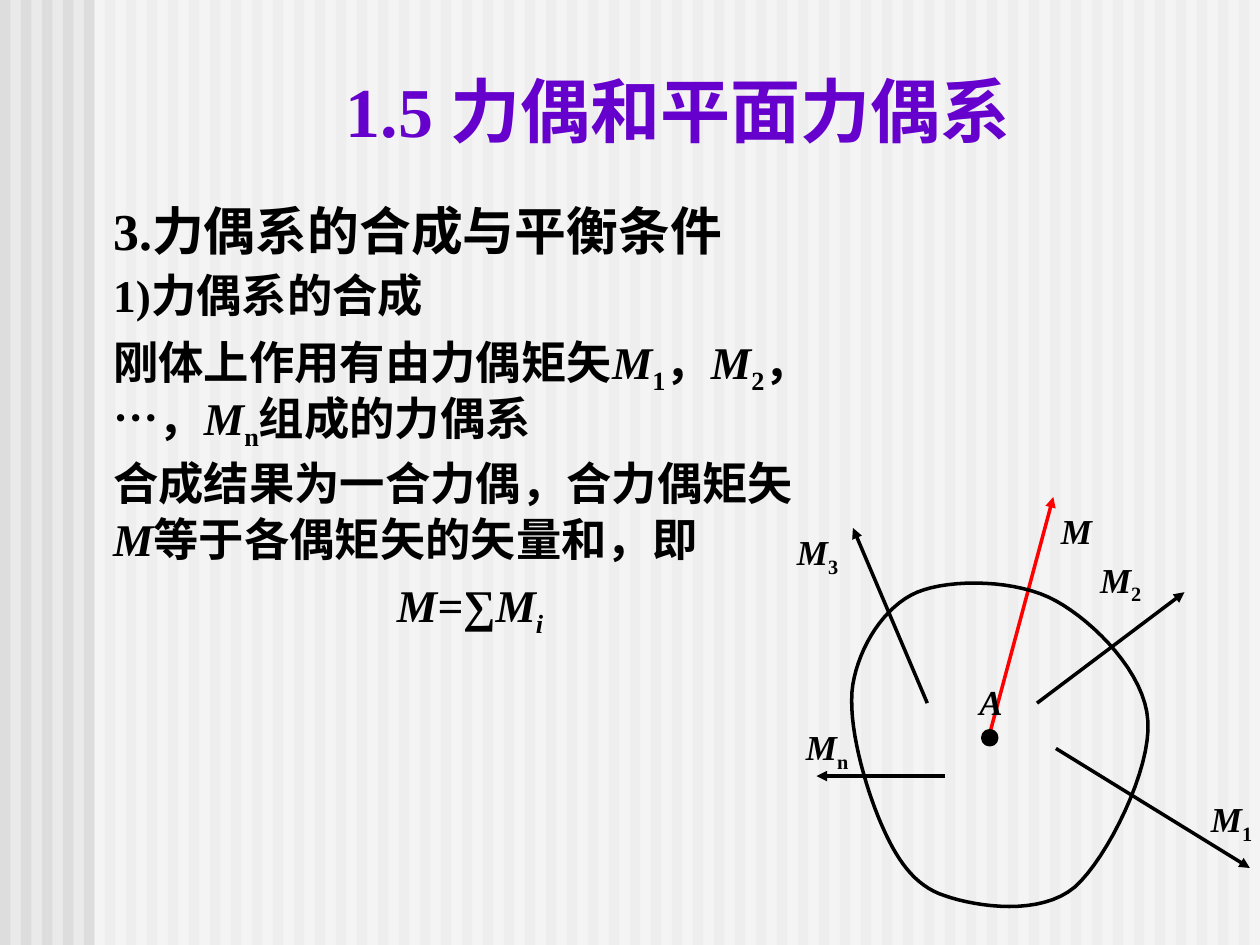
from lxml import etree
from pptx import Presentation
from pptx.dml.color import RGBColor
from pptx.enum import shapes, text
from pptx.oxml import ns
from pptx.util import Pt

COLORS = {"background": "EAEAEA", "stripe": "DDDDDD", "panel": "FFFFFF",
          "title": "6600CC", "ink": "000000", "resultant": "FF0000"}
FONT = "Times New Roman"
ITALIC, SUB, ITALIC_SUB = "i", "s", "is"
OUTLINE_START = (36.4, 107)
OUTLINE_CURVES = [
    ((40, 85.4), (54.4, 62.3), (73.2, 54.4)),
    ((92.6, 46.5), (130.8, 47.2), (152.4, 59.4)),
    ((174.7, 71.7), (203.5, 101.2), (204.9, 127.8)),
    ((207.1, 155.2), (181.9, 206.3), (163.2, 222.9)),
    ((143.7, 239.4), (107.7, 234.4), (89, 227.9)),
    ((71, 222.2), (60.9, 206.3), (52.3, 186.2)),
    ((43.6, 166), (32.8, 129.3), OUTLINE_START),
]
MOMENTS = [
    ("1", (152.4, 143.7), (263.2, 212), (236.6, 175.4), "ink"),
    ("2", (141.6, 117.8), (225.8, 54.4), (173.2, 38.6), "ink"),
    ("3", (78.9, 117.8), (36.4, 17.7), (0, 22.7), "ink"),
    ("n", (89, 159.5), (15.6, 159.5), (5.5, 134.3), "ink"),
    ("", (114.2, 136.5), (150.9, 0), (148, 9), "resultant"),
]
BODY = [
    (29.6, 0, 0.9, [("3.力偶系的合成与平衡条件", "")]),
    (25.9, 7, 0.9, [("1)力偶系的合成", "")]),
    (25.9, 7, 0.9, [("刚体上作用有由力偶矩矢", ""), ("M", ITALIC), ("1", SUB), ("，", ""),
                    ("M", ITALIC), ("2", SUB), ("，…，", ""), ("M", ITALIC), ("n", SUB),
                    ("组成的力偶系", "")]),
    (25.9, 4, 1.03, [("合成结果为一合力偶，合力偶矩矢", ""), ("M", ITALIC),
                     ("等于各偶矩矢的矢量和，即", "")]),
    (25.9, 7, 0.9, [("M=", ITALIC), ("∑", ""), ("M", ITALIC), ("i", ITALIC_SUB)]),
]


def color(name):
    """Return the named colour."""
    return RGBColor.from_string(COLORS[name])


def add_block(slide, left, top, width, height, fill, kind=shapes.MSO_SHAPE.RECTANGLE):
    """Add a filled shape without line or shadow."""
    block = slide.shapes.add_shape(kind, Pt(left), Pt(top), Pt(width), Pt(height))
    block.shadow.inherit = False
    block.fill.solid()
    block.fill.fore_color.rgb = color(fill)
    block.line.fill.background()
    return block


def write_runs(paragraph, pieces, size, ink="ink"):
    """Write styled pieces of bold text into a paragraph."""
    for words, style in pieces:
        run = paragraph.add_run()
        run.text = words
        run.font.name = FONT
        run.font.size = Pt(size)
        run.font.bold = True
        run.font.italic = "i" in style
        run.font.color.rgb = color(ink)
        if "s" in style:
            run._r.get_or_add_rPr().set("baseline", "-25000")


def add_frame(slide, left, top, width, height, anchor, wrap=True):
    """Add a text box and return its frame."""
    frame = slide.shapes.add_textbox(Pt(left), Pt(top), Pt(width), Pt(height)).text_frame
    frame.word_wrap = wrap
    frame.vertical_anchor = anchor
    return frame


def add_backdrop(slide, width, height):
    """Draw the striped backdrop and the translucent panel."""
    slide.background.fill.solid()
    slide.background.fill.fore_color.rgb = color("background")
    pitch = 12
    for left in range(0, width, pitch):
        add_block(slide, left, 0, pitch / 2, height, "stripe")
    panel = add_block(slide, 54, 0, width - 54, height, "panel")
    tint = panel.fill._xPr.find(ns.qn("a:solidFill"))[0]
    etree.SubElement(tint, ns.qn("a:alpha"), val="50000")


def add_title(slide, left, top, width, height):
    """Write the slide title."""
    frame = add_frame(slide, left, top, width, height, text.MSO_ANCHOR.BOTTOM)
    heading = frame.paragraphs[0]
    heading.alignment = text.PP_ALIGN.CENTER
    write_runs(heading, [("1.5 力偶和平面力偶系", "")], 40, "title")


def add_body(slide, left, top, width, height):
    """Write the explanation, ending with the centred formula."""
    frame = add_frame(slide, left, top, width, height, text.MSO_ANCHOR.TOP)
    for index, (size, before, spacing, pieces) in enumerate(BODY):
        paragraph = frame.add_paragraph() if index else frame.paragraphs[0]
        paragraph.line_spacing = spacing
        paragraph.space_before = Pt(before)
        write_runs(paragraph, pieces, size)
    paragraph.alignment = text.PP_ALIGN.CENTER


def add_label(slide, left, top, pieces):
    """Write a small centred label on one line."""
    frame = add_frame(slide, left, top, 32.4, 20, text.MSO_ANCHOR.MIDDLE, wrap=False)
    frame.margin_left = frame.margin_right = 0
    frame.paragraphs[0].alignment = text.PP_ALIGN.CENTER
    write_runs(frame.paragraphs[0], pieces, 20)


def add_arrow(slide, start, end, ink):
    """Draw a straight arrow."""
    arrow = slide.shapes.add_connector(
        shapes.MSO_CONNECTOR.STRAIGHT, *(Pt(value) for value in (*start, *end)))
    arrow.line.color.rgb = color(ink)
    arrow.line.width = Pt(2)
    etree.SubElement(arrow.line._get_or_add_ln(), ns.qn("a:tailEnd"), type="triangle")
    etree.SubElement(arrow._element.spPr, ns.qn("a:effectLst"))


def curve_points(start, curves, steps=16):
    """Return points along a chain of cubic curves."""
    points = []
    for first, second, end in curves:
        for step in range(1, steps + 1):
            t = step / steps
            u = 1 - t
            points.append(tuple(
                u**3 * a + 3 * u * u * t * b + 3 * u * t * t * c + t**3 * d
                for a, b, c, d in zip(start, first, second, end)))
        start = end
    return points


def add_rigid_body(slide, left, top):
    """Draw the body outline with its moment vectors and point A."""
    def place(point):
        """Shift a point into the figure."""
        return left + point[0], top + point[1]

    for subscript, start, end, corner, ink in MOMENTS:
        add_arrow(slide, place(start), place(end), ink)
        pieces = [("M", ITALIC)] + ([(subscript, SUB)] if subscript else [])
        add_label(slide, *place(corner), pieces)

    start, *rim = [tuple(Pt(value) for value in place(point)) for point in
                   [OUTLINE_START, *curve_points(OUTLINE_START, OUTLINE_CURVES)]]
    builder = slide.shapes.build_freeform(*start)
    builder.add_line_segments(rim, close=True)
    outline = builder.convert_to_shape()
    outline.shadow.inherit = False
    outline.fill.background()
    outline.line.color.rgb = color("ink")
    outline.line.width = Pt(2)

    add_label(slide, *place((99.1, 107)), [("A", ITALIC)])
    dot = add_block(slide, *place((110.6, 133.6)), 8, 8, "ink", shapes.MSO_SHAPE.OVAL)
    dot.line.color.rgb = color("ink")
    dot.line.width = Pt(2)


def main():
    """Build the slide and save it."""
    deck = Presentation()
    deck.slide_width, deck.slide_height = Pt(720), Pt(540)
    slide = deck.slides.add_slide(deck.slide_layouts[6])
    add_backdrop(slide, 720, 540)
    add_title(slide, 66, 34.5, 643, 55.5)
    add_body(slide, 57.6, 113.8, 422, 320)
    add_rigid_body(slide, 451, 284)
    deck.save("out.pptx")


if __name__ == "__main__":
    main()
